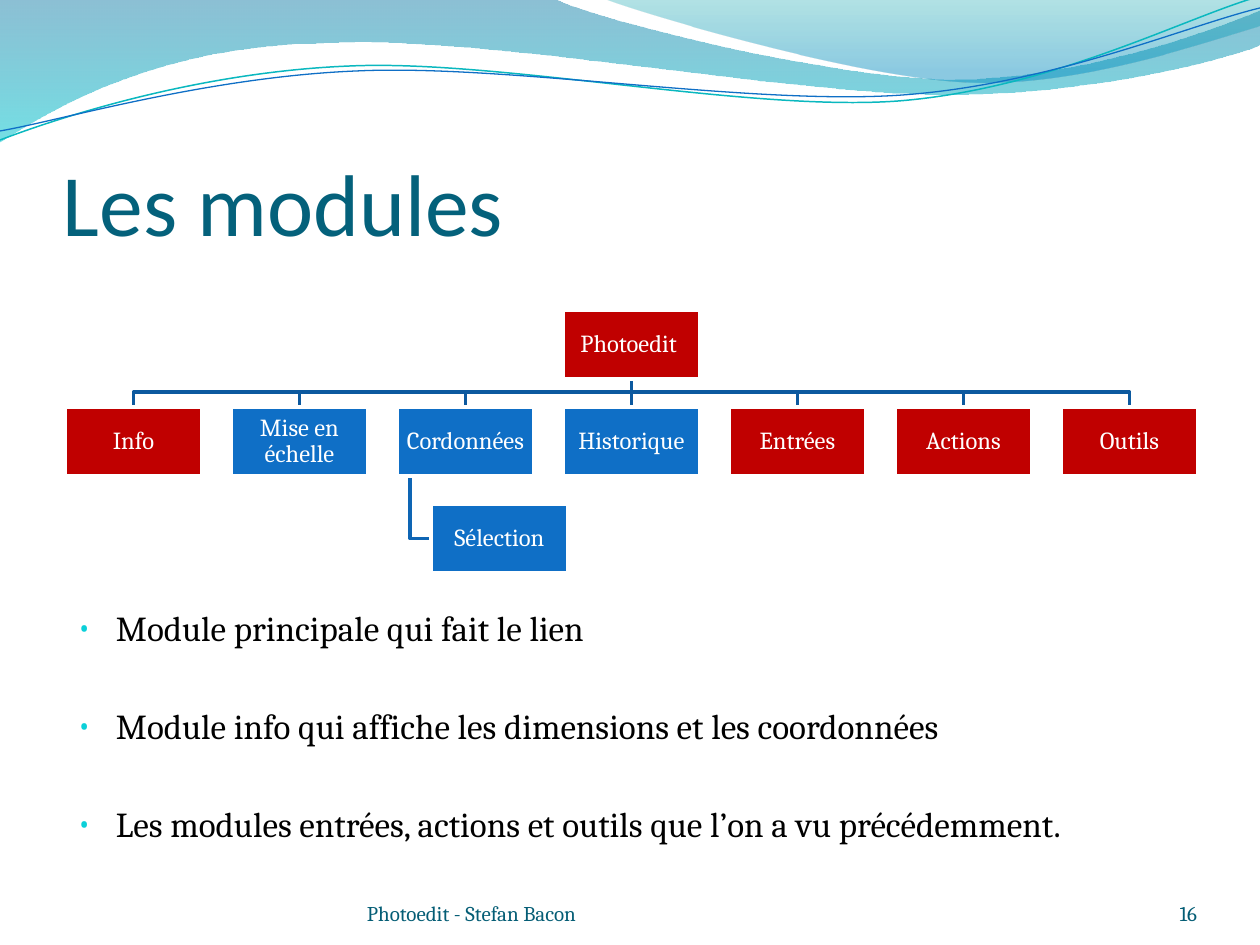
from dataclasses import dataclass

from lxml.etree import SubElement
from pptx import Presentation
from pptx.dml.color import RGBColor
from pptx.enum.shapes import MSO_SHAPE
from pptx.enum.text import MSO_ANCHOR, PP_ALIGN
from pptx.oxml.ns import qn
from pptx.util import Emu, Pt

SCALE = 914400 / 126
RED, BLUE, LINK, FOOTER = "C00000", "0F6FC6", "0C599F", "045D75"
BOX_WIDTH, BOX_HEIGHT = 137, 69
LEFT, PITCH, ROOT_TOP, ROW_TOP, BAR_Y = 65, 166, 310, 407, 392
ROOT_COLUMN = 3
STEM_MARGIN = 6


@dataclass
class Module:
    name: str
    fill: str
    left: int
    top: int = ROW_TOP

    @property
    def center(self) -> float:
        return self.left + BOX_WIDTH / 2


@dataclass
class Curve:
    start: tuple
    segments: list
    closed: bool = False


def px(length: float) -> Emu:
    return Emu(round(length * SCALE))


def color(value: str) -> RGBColor:
    return RGBColor.from_string(value)


def apply(target, formats: dict) -> None:
    for name, value in formats.items():
        setattr(target, name, value)


def set_line(shape, value: str, width: float) -> None:
    shape.line.color.rgb = color(value)
    shape.line.width = Pt(width)


def draw_path(page, points: list, closed: bool = False):
    first, *rest = [(px(x), px(y)) for x, y in points]
    builder = page.shapes.build_freeform(*first, scale=1.0)
    builder.add_line_segments(rest, close=closed)
    shape = builder.convert_to_shape()
    shape.shadow.inherit = False
    shape.fill.background()
    return shape


def draw_line(page, points: list, value: str, width: float):
    shape = draw_path(page, points)
    set_line(shape, value, width)
    return shape


def draw_curve(page, curve: Curve):
    points = [curve.start, *(point for segment in curve.segments for point in segment)]
    shape = draw_path(page, points, curve.closed)
    steps = iter(list(shape.element.iter(qn("a:lnTo"))))
    for segment in curve.segments:
        group = [next(steps) for _ in segment]
        if len(group) == 3:
            bezier = SubElement(group[0].getparent(), qn("a:cubicBezTo"))
            group[0].addprevious(bezier)
            for step in group:
                bezier.append(step[0])
                step.getparent().remove(step)
    return shape


def draw_wave(page, curve: Curve, stops: list) -> None:
    shape = draw_curve(page, curve)
    shape.line.fill.background()
    shape.fill.gradient()
    shape.fill.gradient_angle = 270
    for stop, (position, value, _) in zip(shape.fill.gradient_stops, stops):
        stop.position = position
        stop.color.rgb = color(value)
    for element, (_, _, opacity) in zip(shape.element.iter(qn("a:srgbClr")), stops):
        SubElement(element, qn("a:alpha"), val=str(opacity * 1000))


def draw_stem(page, x: float, top: int, bottom: int) -> None:
    shape = draw_line(page, [(x, top), (x, bottom)], LINK, 2)
    apply(shape, {"left": px(x - STEM_MARGIN), "width": px(2 * STEM_MARGIN)})
    for outline in shape.element.iter(qn("a:path")):
        outline.set("w", str(px(2 * STEM_MARGIN)))
        for point in outline.iter(qn("a:pt")):
            point.set("x", str(px(STEM_MARGIN)))


def write(box, lines: list, size: int, value: str, font: str = "Cambria",
          margins: tuple = (0, 0, 0, 0), anchor=MSO_ANCHOR.BOTTOM,
          align=PP_ALIGN.LEFT) -> list:
    frame = box.text_frame
    sides = ("margin_left", "margin_top", "margin_right", "margin_bottom")
    apply(frame, {"word_wrap": True, "vertical_anchor": anchor,
                  **{side: px(margin) for side, margin in zip(sides, margins)}})
    paragraphs = []
    for index, line in enumerate(lines):
        para = frame.add_paragraph() if index else frame.paragraphs[0]
        para.alignment = align
        span = para.add_run()
        span.text = line
        apply(span.font, {"size": Pt(size), "name": font})
        span.font.color.rgb = color(value)
        paragraphs.append(para)
    return paragraphs


def add_text_box(page, left: int, top: int, width: int, height: int):
    return page.shapes.add_textbox(px(left), px(top), px(width), px(height))


def draw_module(page, module: Module) -> None:
    box = page.shapes.add_shape(MSO_SHAPE.RECTANGLE, px(module.left), px(module.top),
                                px(BOX_WIDTH), px(BOX_HEIGHT))
    box.shadow.inherit = False
    box.fill.solid()
    box.fill.fore_color.rgb = color(module.fill)
    set_line(box, "FFFFFF", 2)
    para, = write(box, [module.name], 14, "FFFFFF", margins=(1, 1, 1, 1),
                  anchor=MSO_ANCHOR.MIDDLE, align=PP_ALIGN.CENTER)
    para.line_spacing = 0.9


def draw_header(page) -> None:
    wide = Curve((0, 0), [
        ((554, -1),), ((600, 21), (837, 79), (955, 79)),
        ((1074, 79), (1207, 33), (1260, 11)), ((1261, 45),),
        ((1239, 55), (1096, 96), (940, 94)), ((784, 94), (481, 35), (324, 43)),
        ((163, 45), (58, 105), (-1, 142)), ((0, 0),),
    ], True)
    short = Curve((604, -1), [
        ((641, 14), (859, 78), (969, 82)), ((1079, 87), (1211, 40), (1260, 26)),
        ((1260, 0),), ((604, -1),),
    ], True)
    upper = Curve((0, 140), [
        ((60, 117), (199, 72), (349, 66)), ((498, 59), (747, 112), (898, 101)),
        ((1050, 89), (1182, 19), (1257, -3)),
    ])
    lower = Curve((0, 131), [
        ((59, 121), (207, 77), (357, 71)), ((508, 64), (752, 106), (903, 95)),
        ((1053, 84), (1186, 26), (1260, 8)),
    ])
    draw_wave(page, wide, [(0, "0074A1", 45), (1, "00C6CF", 55)])
    draw_wave(page, short, [(0, "00A1A9", 30), (0.8, "008BBF", 45)])
    set_line(draw_curve(page, upper), "0AB8BF", 0.85)
    set_line(draw_curve(page, lower), BLUE, 0.75)


def draw_tree(page) -> None:
    names = [("Info", RED), ("Mise en échelle", BLUE), ("Cordonnées", BLUE),
             ("Historique", BLUE), ("Entrées", RED), ("Actions", RED), ("Outils", RED)]
    children = [Module(name, fill, LEFT + PITCH * column)
                for column, (name, fill) in enumerate(names)]
    root = Module("Photoedit ", RED, LEFT + PITCH * ROOT_COLUMN, ROOT_TOP)
    selection = Module("Sélection", BLUE, 431, 504)
    root_bottom = ROOT_TOP + BOX_HEIGHT
    for child in reversed(children):
        if child.center == root.center:
            draw_stem(page, root.center, root_bottom, ROW_TOP)
        else:
            draw_line(page, [(root.center, root_bottom), (root.center, BAR_Y),
                             (child.center, BAR_Y), (child.center, ROW_TOP)], LINK, 2)
    middle = selection.top + BOX_HEIGHT / 2
    draw_line(page, [(410, ROW_TOP + BOX_HEIGHT), (410, middle),
                     (selection.left, middle)], "0E65B4", 2)
    for module in (root, *children, selection):
        draw_module(page, module)


def draw_bullets(page) -> None:
    lines = ["Module principale qui fait le lien",
             "Module info qui affiche les dimensions et les coordonnées",
             "Les modules entrées, actions et outils que l’on a vu précédemment."]
    box = add_text_box(page, 64, 601, 1134, 325)
    paragraphs = write(box, lines, 20, "000000", margins=(13, 6, 13, 6),
                       anchor=MSO_ANCHOR.TOP)
    for index, para in enumerate(paragraphs):
        para.space_before = Pt(32 if index else 5)
        properties = para._p.get_or_add_pPr()
        properties.set("marL", str(px(39)))
        properties.set("indent", str(px(-39)))
        bullet_color = SubElement(properties, qn("a:buClr"))
        SubElement(bullet_color, qn("a:srgbClr"), val="0BD0D9")
        SubElement(properties, qn("a:buSzPct"), val="95000")
        SubElement(properties, qn("a:buFont"), typeface="Cambria")
        SubElement(properties, qn("a:buChar"), char="•")


def main() -> None:
    deck = Presentation()
    apply(deck, {"slide_width": px(1260), "slide_height": px(945)})
    page = deck.slides.add_slide(deck.slide_layouts[6])
    draw_header(page)
    write(add_text_box(page, 63, 96, 1134, 158), ["Les modules"], 50, "04617B",
          font="Calibri", margins=(0, 6, 0, 0))
    write(add_text_box(page, 1092, 876, 105, 50), ["16"], 12, FOOTER, align=PP_ALIGN.RIGHT)
    draw_bullets(page)
    draw_tree(page)
    write(add_text_box(page, 367, 876, 462, 50), ["Photoedit - Stefan Bacon"], 12, FOOTER)
    deck.save("out.pptx")


if __name__ == "__main__":
    main()
